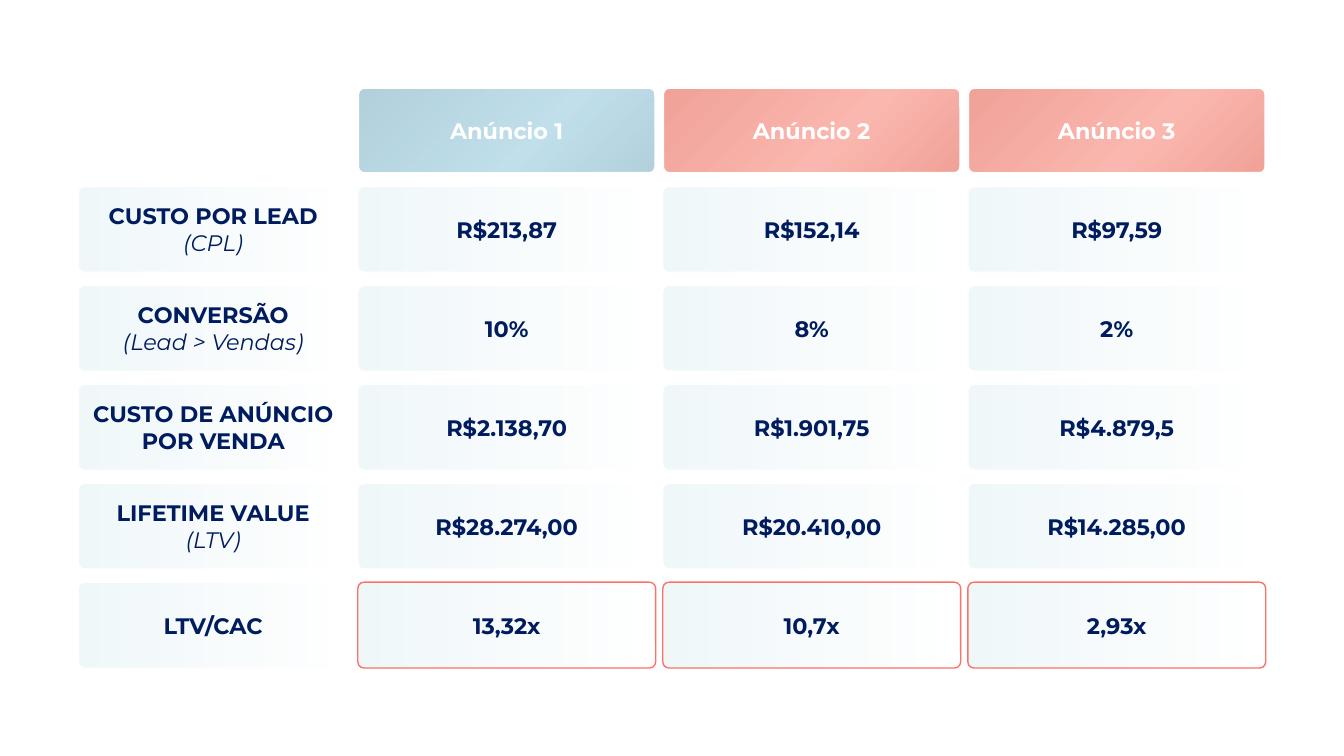
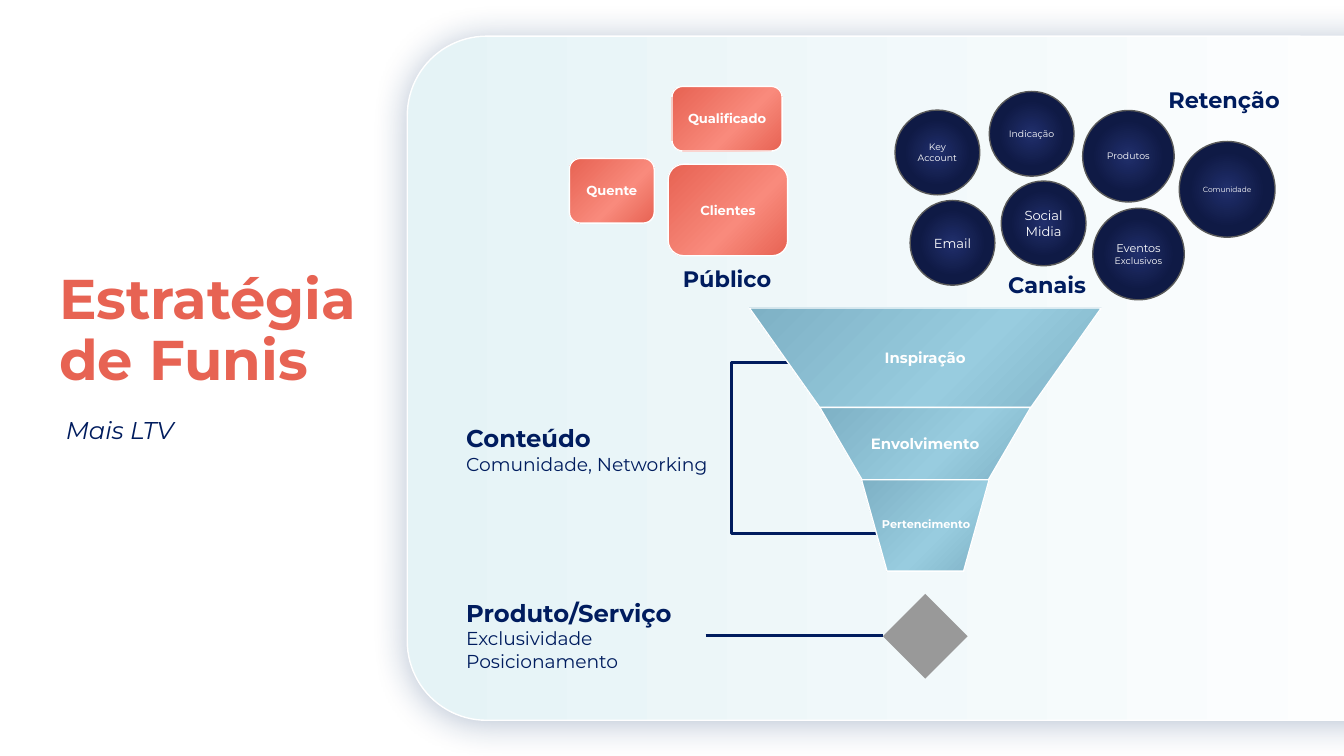
from lxml.etree import SubElement
from pptx import Presentation
from pptx.dml.color import RGBColor
from pptx.enum.shapes import MSO_CONNECTOR, MSO_SHAPE as Shape
from pptx.enum.text import MSO_ANCHOR as Anchor, MSO_AUTO_SIZE, PP_ALIGN as Align
from pptx.oxml.ns import qn
from pptx.util import Pt

# Shared look
FONT = "Montserrat"
NAVY, CORAL, WHITE, ROSE = "001C5E", "E76353", "FFFFFF", "FA7268"
DISC_EDGE, GREY, SHADOW = "595959", "999999", "163A6F"
ICE = [(0, WHITE), (100, "E5F3F6")], 180
BLUE = [(0, "7EB1C5"), (40, "98CCDF"), (100, "7EB1C5")], 225
RED = [(0, CORAL), (40, "F98A7C"), (100, CORAL)], 225
NIGHT = [(0, "212F6C"), (56, "0F1A45"), (100, "0F1A45")], None  # radial

# Slide 1: comparison of adverts
ADVERTS = [("Anúncio 1", BLUE), ("Anúncio 2", RED), ("Anúncio 3", RED)]
METRICS = [  # label, second line, second line in italics, values
    ("CUSTO POR LEAD", "(CPL)", True, ["R$213,87", "R$152,14", "R$97,59"]),
    ("CONVERSÃO", "(Lead > Vendas)", True, ["10%", "8%", "2%"]),
    ("CUSTO DE ANÚNCIO", "POR VENDA", False,
     ["R$2.138,70", "R$1.901,75", "R$4.879,5"]),
    ("LIFETIME VALUE", "(LTV)", True,
     ["R$28.274,00", "R$20.410,00", "R$14.285,00"]),
    ("LTV/CAC", None, False, ["13,32x", "10,7x", "2,93x"]),
]
LABEL_LEFT, LABEL_WIDTH = 41.9, 144.7
VALUE_LEFT, VALUE_WIDTH, VALUE_STEP = 191.7, 159.6, 163.4
GRID_TOP, ROW_HEIGHT, ROW_STEP = 46.9, 46, 53

# Slide 2: funnel strategy; boxes are left, top, width, height
HEADING, SUBHEADING = "Estratégia\vde Funis", "Mais LTV"
PANEL = (218.2, 19.4, 557.3, 366.5)
BRACKET = (391.9, 194.2, 92, 91.6)
AUDIENCE = [("Clientes", (358, 88, 64, 49)),
            ("Quente", (305.1, 84.9, 45.4, 34.6)),
            ("Qualificado", (360, 46.3, 59, 34.6))]
FUNNEL = [("Inspiração", (401.4, 165, 188.6, 53.3)),
          ("Envolvimento", (439.2, 218.3, 113, 38.7)),
          (None, (461.5, 257, 68.4, 49))]
CHANNELS = [  # lines with sizes, left, top, diameter
    ([("Social", 7), ("Midia", 7)], 536.4, 97, 45.4),
    ([("Eventos", 6), ("Exclusivos", 5)], 585.4, 111.6, 49),
    ([("Email", 7)], 487.6, 107.4, 45.4),
    ([("Produtos", 5)], 580, 59.2, 49),
    ([("Key\vAccount", 5)], 479.5, 59, 45.4),
    ([("Comunidade", 4)], 631.8, 75.8, 51.3),
    ([("Indicação", 5)], 530, 49, 45.4),
]
GROUP_NAMES = [("Canais", (536.4, 142, 57, 21.6)),
               ("Público", (362.2, 138.5, 57, 21.6)),
               ("Retenção", (622.3, 42.5, 77.8, 21.6))]
ASIDES = [("Produto/Serviço", ["Exclusividade", "Posicionamento"],
           (246.2, 316.8, 131.8, 47.5), Anchor.TOP),
          ("Conteúdo", ["Comunidade, Networking"],
           (246.2, 224.4, 141.1, 32.4), Anchor.MIDDLE)]
LAST_STAGE = "Pertencimento", (457.2, 270, 77.8, 21.6)
DIAMOND = (473, 318.2, 45.4, 45.4)
PRODUCT_LINE = (378, 340.6, 473, 340.6)


def rgb(color):
    return RGBColor.from_string(color)


def style(text, size, color=NAVY, bold=False, italic=False):
    return text, size, color, bold, italic


def write(holder, lines, align=Align.CENTER, anchor=Anchor.MIDDLE, inset=3.6,
          spacing=None, wrap=True):
    frame = holder.text_frame
    frame.word_wrap, frame.auto_size = wrap, MSO_AUTO_SIZE.NONE
    frame.vertical_anchor = anchor
    frame.margin_left = frame.margin_right = Pt(inset)
    frame.margin_top = frame.margin_bottom = Pt(inset)
    for number, (text, size, color, bold, italic) in enumerate(lines):
        para = frame.add_paragraph() if number else frame.paragraphs[0]
        para.text, para.alignment = text, align
        para.space_before = Pt(0)
        if spacing:
            para.line_spacing = spacing
        font = para.font
        font.name, font.size = FONT, Pt(size)
        font.bold, font.italic = bold, italic
        font.color.rgb = rgb(color)


def add_color(parent, color, opacity):
    tint = SubElement(parent, qn("a:srgbClr"), val=color)
    if opacity < 100:
        SubElement(tint, qn("a:alpha"), val=str(opacity * 1000))


def paint(shape, gradient, opacity):
    stops, angle = gradient
    shape.fill.gradient()
    grad = shape._element.spPr.find(qn("a:gradFill"))
    grad.clear()
    stop_list = SubElement(grad, qn("a:gsLst"))
    for position, color in stops:
        stop = SubElement(stop_list, qn("a:gs"), pos=str(position * 1000))
        add_color(stop, color, opacity)
    if angle is None:
        circle = SubElement(grad, qn("a:path"), path="circle")
        SubElement(circle, qn("a:fillToRect"),
                   {side: "50000" for side in "ltrb"})
    else:
        SubElement(grad, qn("a:lin"), ang=str(angle * 60000), scaled="0")


def add_shape(slide, kind, box, gradient=None, edge=WHITE, weight=0.75,
              corner=None, opacity=100):
    shape = slide.shapes.add_shape(kind, *map(Pt, box))
    shape.shadow.inherit = False
    if corner is not None:
        shape.adjustments[0] = corner
    if gradient:
        paint(shape, gradient, opacity)
    else:
        shape.fill.background()
    if edge:
        shape.line.color.rgb = rgb(edge)
        shape.line.width = Pt(weight)
    else:
        shape.line.fill.background()
    return shape


def add_text(slide, box, lines, **layout):
    write(slide.shapes.add_textbox(*map(Pt, box)), lines, **layout)


def place(holder, box):
    holder.left, holder.top, holder.width, holder.height = map(Pt, box)


def add_cell(slide, row, left, width, lines, gradient=ICE, **edge):
    box = (left, GRID_TOP + row * ROW_STEP, width, ROW_HEIGHT)
    cell = add_shape(slide, Shape.ROUNDED_RECTANGLE, box, gradient,
                     corner=0.073, opacity=60, **edge)
    write(cell, lines)


def build_comparison(deck):
    slide = deck.slides.add_slide(deck.slide_layouts[6])
    lefts = [VALUE_LEFT + i * VALUE_STEP for i in range(len(ADVERTS))]
    for left, (advert, gradient) in zip(lefts, ADVERTS):
        add_cell(slide, 0, left, VALUE_WIDTH,
                 [style(advert, 12, WHITE, True)], gradient, weight=1.5)
    for row, (label, second, italic, values) in enumerate(METRICS, 1):
        lines = [style(label, 12, bold=True)]
        if second:
            lines.append(style(second, 12, bold=not italic, italic=italic))
        add_cell(slide, row, LABEL_LEFT, LABEL_WIDTH, lines)
        edge = ROSE if row == len(METRICS) else WHITE
        for left, value in zip(lefts, values):
            add_cell(slide, row, left, VALUE_WIDTH,
                     [style(value, 12, bold=True)], edge=edge)


def build_funnel(deck):
    slide = deck.slides.add_slide(deck.slide_layouts[0])

    # Panel with soft shadow
    panel = add_shape(slide, Shape.ROUNDED_RECTANGLE, PANEL, ICE, corner=0.116)
    effects = panel._element.spPr.find(qn("a:effectLst"))
    glow = SubElement(effects, qn("a:outerShdw"), blurRad=str(Pt(19.1)),
                      dist=str(Pt(1.5)), dir="5400000", algn="bl",
                      rotWithShape="0")
    add_color(glow, SHADOW, 31)

    # Title and subtitle
    title, subtitle = slide.placeholders
    place(title, (31.7, 153.4, 207.4, 49))
    write(title, [style(HEADING, 30, CORAL, True)], Align.LEFT, inset=0,
          spacing=0.9)
    place(subtitle, (35.3, 221, 180, 16))
    write(subtitle, [style(SUBHEADING, 13, italic=True)], Align.LEFT,
          Anchor.TOP, inset=0, spacing=1.1)

    # Funnel over its bracket
    add_shape(slide, Shape.RECTANGLE, BRACKET, edge=NAVY, weight=1.5)
    for stage, box in FUNNEL:
        part = add_shape(slide, Shape.FLOWCHART_MANUAL_OPERATION, box, BLUE)
        if stage:
            write(part, [style(stage, 8, WHITE, True)], wrap=False)
    stage, box = LAST_STAGE
    add_text(slide, box, [style(stage, 6, WHITE, True)], anchor=Anchor.TOP,
             inset=7.2)

    # Audience cards and channel discs
    for audience, box in AUDIENCE:
        card = add_shape(slide, Shape.ROUNDED_RECTANGLE, box, RED,
                         corner=0.167)
        write(card, [style(audience, 7, WHITE, True)])
    for lines, left, top, size in CHANNELS:
        disc = add_shape(slide, Shape.OVAL, (left, top, size, size), NIGHT,
                         DISC_EDGE)
        write(disc, [style(text, points, WHITE) for text, points in lines],
              wrap=False)

    # Names and side notes
    for name, box in GROUP_NAMES:
        add_text(slide, box, [style(name, 12, bold=True)], align=Align.LEFT,
                 anchor=Anchor.TOP)
    for heading, details, box, anchor in ASIDES:
        lines = [style(heading, 13, bold=True)]
        lines += [style(detail, 10) for detail in details]
        add_text(slide, box, lines, align=Align.LEFT, anchor=anchor)

    # Product marker and its line
    diamond = add_shape(slide, Shape.DIAMOND, DIAMOND, edge=None)
    diamond.fill.solid()
    diamond.fill.fore_color.rgb = rgb(GREY)
    line = slide.shapes.add_connector(MSO_CONNECTOR.STRAIGHT,
                                      *map(Pt, PRODUCT_LINE))
    line.line.color.rgb = rgb(NAVY)
    line.line.width = Pt(1.5)
    SubElement(line._element.spPr, qn("a:effectLst"))


def main():
    deck = Presentation()
    deck.slide_width, deck.slide_height = Pt(720), Pt(405)
    build_comparison(deck)
    build_funnel(deck)
    deck.save("out.pptx")


if __name__ == "__main__":
    main()
